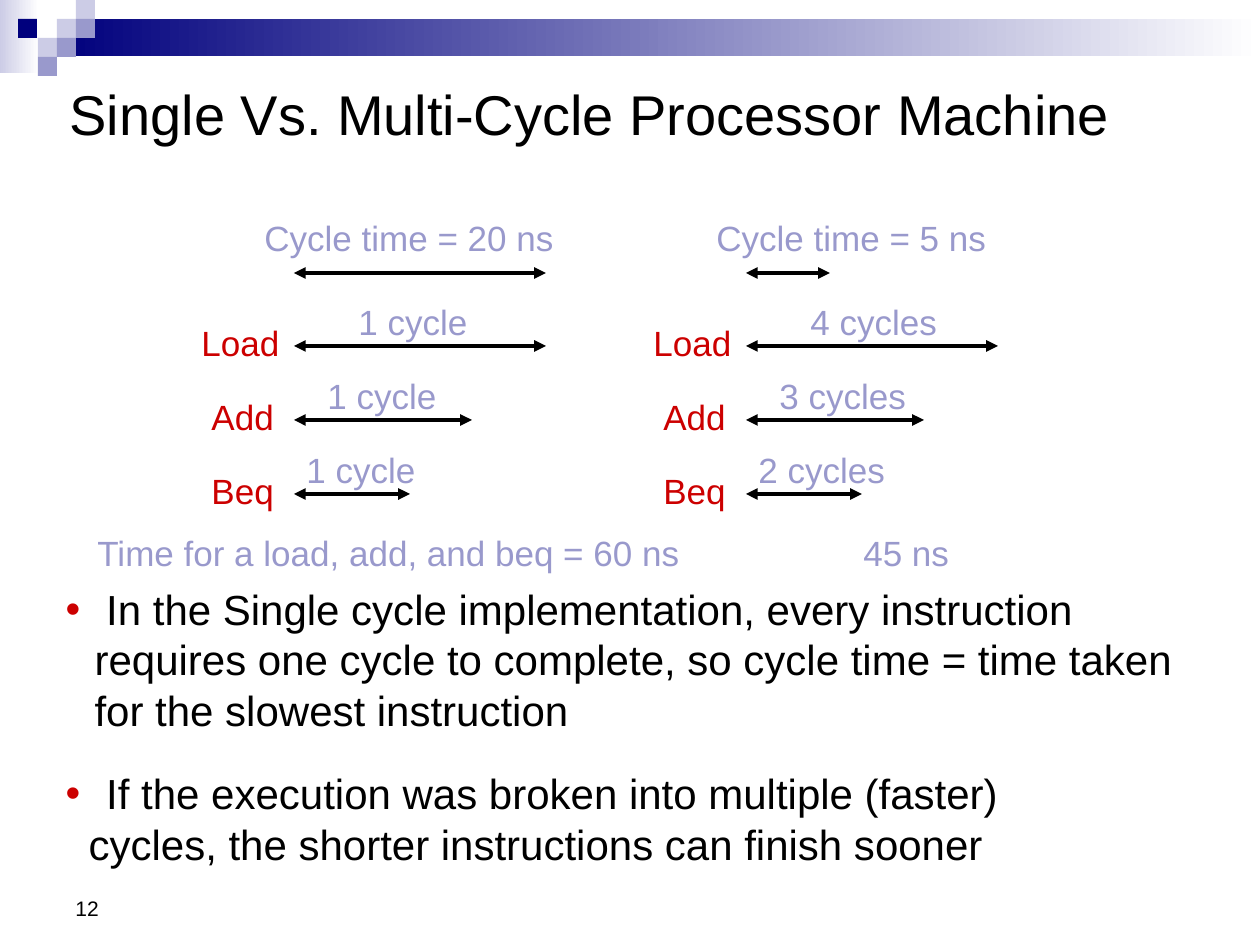
from pptx import Presentation
from pptx.dml.color import RGBColor
from pptx.enum.shapes import MSO_CONNECTOR, MSO_SHAPE
from pptx.enum.text import MSO_ANCHOR, MSO_AUTO_SIZE, PP_ALIGN
from pptx.oxml.ns import qn
from pptx.util import Emu, Pt
from lxml.etree import SubElement

COLORS = {
    "navy": "00007D", "lilac": "9999CC", "pale": "CCCCE6",
    "red": "CC0000", "black": "000000", "white": "FFFFFF",
}
FONT = "Arial"
TILE = 19        # side of a decorative square
ROW_STEP = 74    # distance between instruction rows

# Decorative squares: left, top, colour
TILES = [
    (57, 19, "pale"), (76, 0, "pale"), (76, 19, "lilac"), (38, 38, "pale"),
    (18, 19, "navy"), (57, 38, "lilac"), (38, 57, "lilac"),
]
# Instruction rows: name, name offset, arrow length, cycle label offset
INSTRUCTIONS = [
    ("Load", -105, 252, 52),
    ("Add", -95, 178, 21),
    ("Beq", -95, 116, 0),
]
# Panels: arrow start, cycle time, its arrow length, cycles per instruction
PANELS = [
    (294, "Cycle time = 20 ns", 252, ["1 cycle", "1 cycle", "1 cycle"]),
    (746, "Cycle time = 5 ns", 84, ["4 cycles", "3 cycles", "2 cycles"]),
]
# Body paragraphs: text, bulleted, left margin, space before in points
BODY = [
    (" In the Single cycle implementation, every instruction requires one "
     "cycle to complete, so cycle time = time taken for the slowest "
     "instruction", True, 29, 0),
    (" If the execution was broken into multiple (faster)", True, 29, 19),
    ("cycles, the shorter instructions can finish sooner", False, 23, 0),
]


def px(value):
    return Emu(round(value * 914400 / 126))


def color(name):
    return RGBColor.from_string(COLORS[name])


def format_font(paragraph, size, color_name):
    for run in paragraph.runs:
        run.font.name = FONT
        run.font.size = Pt(size)
        run.font.color.rgb = color(color_name)


def place(shape, left, top, width, height):
    shape.left, shape.top = px(left), px(top)
    shape.width, shape.height = px(width), px(height)


def add_block(slide, left, top, width, height, start, end=None):
    """Rectangle with a solid fill, or a left-to-right gradient."""
    shape = slide.shapes.add_shape(
        MSO_SHAPE.RECTANGLE, px(left), px(top), px(width), px(height))
    shape.shadow.inherit = False
    shape.line.fill.background()
    if end is None:
        shape.fill.solid()
        shape.fill.fore_color.rgb = color(start)
        return
    shape.fill.gradient()
    shape.fill.gradient_angle = 0
    for stop, name in zip(shape.fill.gradient_stops, (start, end)):
        stop.color.rgb = color(name)


def add_label(slide, text, left, top, width, color_name, size=20, height=55,
              anchor=MSO_ANCHOR.TOP):
    box = slide.shapes.add_textbox(px(left), px(top), px(width), px(height))
    frame = box.text_frame
    frame.text = text
    frame.word_wrap = True
    frame.vertical_anchor = anchor
    format_font(frame.paragraphs[0], size, color_name)


def add_double_arrow(slide, left, y, length):
    arrow = slide.shapes.add_connector(
        MSO_CONNECTOR.STRAIGHT, px(left), px(y), px(left + length), px(y))
    arrow.line.width = Pt(2.25)
    arrow.line.color.rgb = color("black")
    line = arrow.line._get_or_add_ln()
    for end in ("a:headEnd", "a:tailEnd"):
        SubElement(line, qn(end), type="triangle")
    SubElement(arrow._element.spPr, qn("a:effectLst"))


def set_bullet(paragraph, bulleted, margin):
    properties = paragraph._p.get_or_add_pPr()
    properties.set("marL", str(px(margin)))
    properties.set("indent", str(-px(margin) if bulleted else 0))
    if not bulleted:
        SubElement(properties, qn("a:buNone"))
        return
    bullet_color = SubElement(properties, qn("a:buClr"))
    SubElement(bullet_color, qn("a:srgbClr"), val=COLORS["red"])
    SubElement(properties, qn("a:buFont"), typeface=FONT)
    SubElement(properties, qn("a:buChar"), char="•")


def fill_title(slide):
    title = slide.shapes.title
    place(title, 57, 73, 1100, 81)
    frame = title.text_frame
    frame.text = "Single Vs. Multi-Cycle Processor Machine"
    frame.word_wrap = True
    frame.auto_size = MSO_AUTO_SIZE.NONE
    frame.vertical_anchor = MSO_ANCHOR.TOP
    frame.paragraphs[0].alignment = PP_ALIGN.LEFT
    format_font(frame.paragraphs[0], 32, "black")


def fill_body(slide):
    body = slide.placeholders[1]
    place(body, 53, 577, 1168, 299)
    frame = body.text_frame
    frame.text = "\n".join(text for text, *_ in BODY)
    frame.auto_size = MSO_AUTO_SIZE.NONE
    for paragraph, (_, bulleted, margin, before) in zip(frame.paragraphs, BODY):
        set_bullet(paragraph, bulleted, margin)
        paragraph.line_spacing = 1.0
        paragraph.space_before = Pt(before)
        format_font(paragraph, 24, "black")


def add_banner(slide):
    add_block(slide, 0, 0, 39, 73, "pale", "white")
    add_block(slide, 57, 19, 1203, 37, "navy", "white")
    for left, top, name in TILES:
        add_block(slide, left, top, TILE, TILE, name)


def add_panel(slide, left, cycle_time, cycle_length, cycles):
    add_label(slide, cycle_time, left - 42, 210, 350, "lilac")
    add_double_arrow(slide, left, 273, cycle_length)
    for row, (instruction, count) in enumerate(zip(INSTRUCTIONS, cycles)):
        name, name_offset, length, count_offset = instruction
        y = 346 + row * ROW_STEP
        add_double_arrow(slide, left, y, length)
        add_label(slide, name, left + name_offset, y - 31, 110, "red")
        add_label(slide, count, left + count_offset, y - 52, 180, "lilac")


def main():
    presentation = Presentation()
    presentation.slide_width, presentation.slide_height = px(1260), px(945)
    slide = presentation.slides.add_slide(presentation.slide_layouts[1])

    # Banner and text
    add_banner(slide)
    fill_title(slide)
    fill_body(slide)

    # Timing comparison
    for panel in PANELS:
        add_panel(slide, *panel)
    add_label(slide, "Time for a load, add, and beq = 60 ns", 85, 525, 650,
              "lilac")
    add_label(slide, "45 ns", 851, 525, 140, "lilac")

    # Slide number
    add_label(slide, "12", 63, 861, 294, "black", size=12, height=66,
              anchor=MSO_ANCHOR.BOTTOM)
    presentation.save("out.pptx")


if __name__ == "__main__":
    main()
